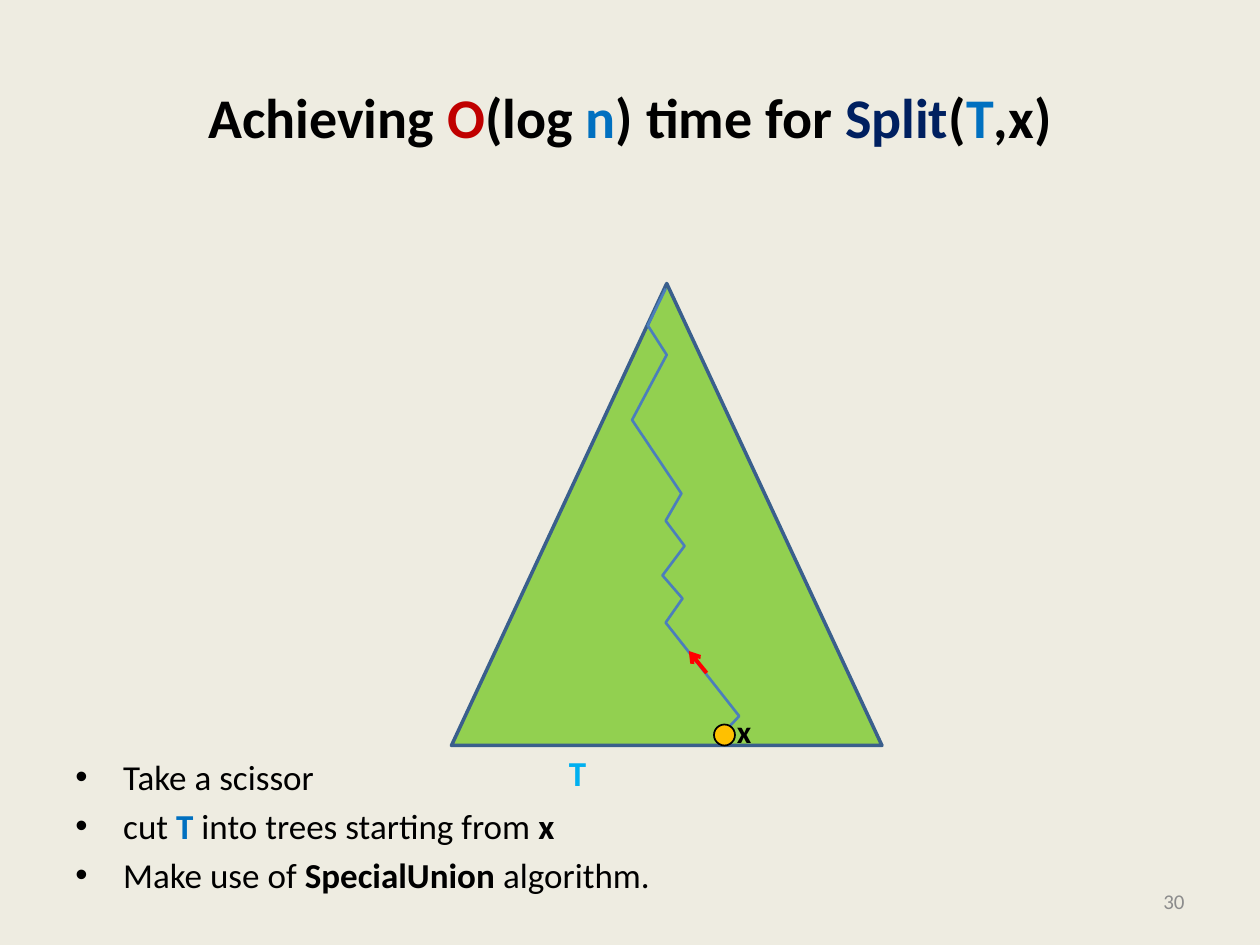
import pptx
import pptx.util
import pptx.dml.color
import pptx.enum.shapes
import pptx.enum.text
import pptx.oxml.ns
from lxml import etree

COLORS = {
    "background": "EEECE1", "text": "000000", "red": "C00000", "blue": "0070C0",
    "navy": "002060", "sky": "00B0F0", "gray": "8C8C8C", "tree": "92D050",
    "tree_edge": "3A5F8C", "path": "4B7EBC", "arrow": "FF0000", "node": "FFC000",
}
rgb = {name: pptx.dml.color.RGBColor.from_string(code) for name, code in COLORS.items()}
SHAPE = pptx.enum.shapes.MSO_SHAPE
ALIGN = pptx.enum.text.PP_ALIGN
ANCHOR = pptx.enum.text.MSO_ANCHOR
qn = pptx.oxml.ns.qn

deck = pptx.Presentation()
deck.slide_width = pptx.util.Inches(10)
deck.slide_height = pptx.util.Inches(7.5)
cell = deck.slide_width / 120
slide = deck.slides.add_slide(deck.slide_layouts[5])
slide.background.fill.solid()
slide.background.fill.fore_color.rgb = rgb["background"]


def grid(*cells):
    return [round(cell * count) for count in cells]


def write(paragraph, runs, size, align=ALIGN.LEFT):
    paragraph.alignment = align
    paragraph.font.size = pptx.util.Pt(size)
    paragraph.font.name = "Calibri"
    for text, color, bold in runs:
        run = paragraph.add_run()
        run.text = text
        run.font.color.rgb = rgb[color]
        run.font.bold = bold


title = slide.shapes.title
title.left, title.top, title.width, title.height = grid(6, 3.6, 108, 15)
title.text_frame.vertical_anchor = ANCHOR.MIDDLE
write(title.text_frame.paragraphs[0], [
    ("Achieving ", "text", True), ("O", "red", True), ("(log ", "text", True),
    ("n", "blue", True), (") time for ", "text", True), ("Split", "navy", True),
    ("(", "text", True), ("T", "blue", True), (",x)", "text", True),
], 32, ALIGN.CENTER)

steps = slide.shapes.add_textbox(*grid(6, 71.4, 108, 15.6)).text_frame
steps.word_wrap = True
step_runs = [
    [("Take a scissor", "text", False)],
    [("cut ", "text", False), ("T", "blue", True),
     (" into trees starting from ", "text", False), ("x", "text", True)],
    [("Make use of ", "text", False), ("SpecialUnion ", "text", True),
     ("algorithm.", "text", False)],
]
for index, runs in enumerate(step_runs):
    step = steps.add_paragraph() if index else steps.paragraphs[0]
    indent = step._p.get_or_add_pPr()
    indent.set("marL", str(pptx.util.Inches(0.38)))
    indent.set("indent", str(-pptx.util.Inches(0.38)))
    etree.SubElement(indent, qn("a:buFont")).set("typeface", "Arial")
    etree.SubElement(indent, qn("a:buChar")).set("char", "•")
    write(step, runs, 20)
    if index:
        step.space_before = pptx.util.Pt(4)

page = slide.shapes.add_textbox(*grid(86, 83.4, 28, 4.8)).text_frame
page.word_wrap = True
page.vertical_anchor = ANCHOR.MIDDLE
write(page.paragraphs[0], [("30", "gray", False)], 12, ALIGN.RIGHT)

tree = slide.shapes.add_shape(SHAPE.ISOSCELES_TRIANGLE, *grid(43, 27, 41, 44))
tree.shadow.inherit = False
tree.fill.solid()
tree.fill.fore_color.rgb = rgb["tree"]
tree.line.color.rgb = rgb["tree_edge"]
tree.line.width = pptx.util.Pt(2)

path_points = [
    (63.4, 27.5), (61.7, 31), (63.5, 33.8), (62, 36.6), (60.2, 40), (64.9, 47),
    (63.4, 49.6), (65.2, 52), (63.1, 54.8), (65, 57), (63.4, 59.3), (70.4, 68.2),
    (69.1, 69.6),
]
root, *turns = [grid(*point) for point in path_points]
builder = slide.shapes.build_freeform(*root)
builder.add_line_segments(turns, close=False)
search_path = builder.convert_to_shape()
search_path.shadow.inherit = False
search_path.fill.background()
search_path.line.color.rgb = rgb["path"]
search_path.line.width = pptx.util.Pt(1.5)

upward = slide.shapes.add_connector(
    pptx.enum.shapes.MSO_CONNECTOR.STRAIGHT, *grid(67.3, 64.1, 65.6, 62))
upward.line.color.rgb = rgb["arrow"]
upward.line.width = pptx.util.Pt(2.25)
etree.SubElement(upward.line._get_or_add_ln(), qn("a:tailEnd")).set("type", "arrow")
etree.SubElement(upward._element.spPr, qn("a:effectLst"))

node = slide.shapes.add_shape(SHAPE.OVAL, *grid(68, 69, 2, 2))
node.shadow.inherit = False
node.fill.solid()
node.fill.fore_color.rgb = rgb["node"]
node.line.color.rgb = rgb["text"]
node.line.width = pptx.util.Pt(1)

for text, color, size, place in [
    ("T", "sky", 20, (53, 71, 4.1, 5.3)),
    ("x", "text", 18, (69, 67.2, 3.8, 4.8)),
]:
    label = slide.shapes.add_textbox(*grid(*place)).text_frame
    label.word_wrap = False
    label.auto_size = pptx.enum.text.MSO_AUTO_SIZE.SHAPE_TO_FIT_TEXT
    write(label.paragraphs[0], [(text, color, True)], size)

deck.save("out.pptx")
